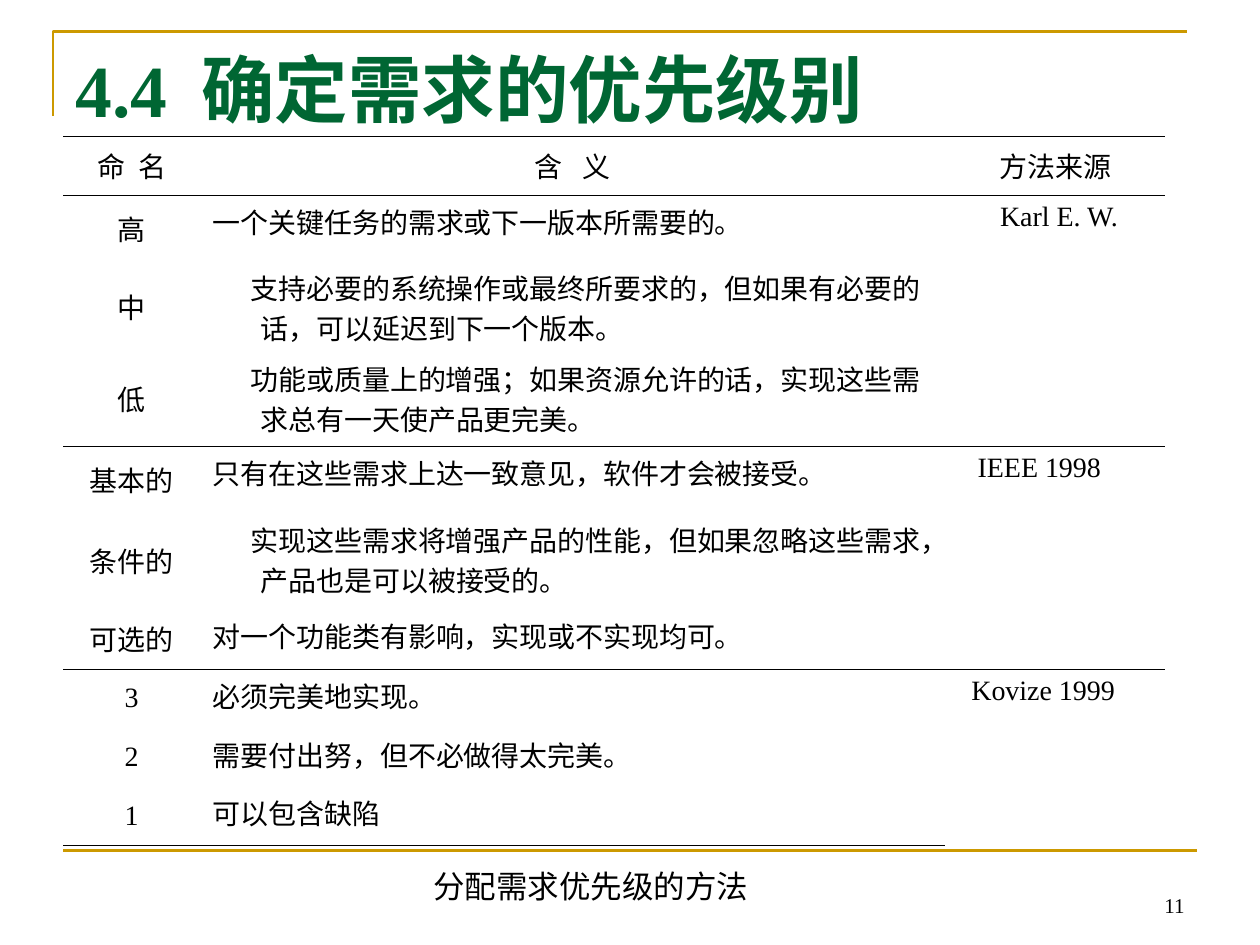
from dataclasses import dataclass

from lxml import etree
from pptx import Presentation
from pptx import util as u
from pptx.dml.color import RGBColor
from pptx.enum import lang, shapes, text
from pptx.oxml.ns import qn

GOLD, GREEN, BLACK = "CC9900", "006633", "000000"
SERIF, SANS = "Times New Roman", "Arial"
LEFT, CENTER, RIGHT = text.PP_ALIGN.LEFT, text.PP_ALIGN.CENTER, text.PP_ALIGN.RIGHT
TOP, MIDDLE, BOTTOM = text.MSO_ANCHOR.TOP, text.MSO_ANCHOR.MIDDLE, text.MSO_ANCHOR.BOTTOM
HANGING = 0.38
COLUMN_WIDTHS = (1.09, 5.91, 1.75)
HEADER_HEIGHT = 0.47
RULE_WIDTH = 0.45


@dataclass
class Level:
    name: str
    meaning: str
    height: float
    first_line: float = 0


@dataclass
class Method:
    source: str
    align: text.PP_ALIGN
    indent: float
    levels: list[Level]


@dataclass
class Heading:
    label: str
    spacing: int = 0


HEADINGS = [Heading("命 名", 2), Heading("含 义", 4), Heading("方法来源")]
METHODS = [
    Method("Karl E. W.", CENTER, 0.06, [
        Level("高", "一个关键任务的需求或下一版本所需要的。", 0.52),
        Level("中", "支持必要的系统操作或最终所要求的，但如果有必要的话，可以延迟到下一个版本。", 0.72, 0.3),
        Level("低", "功能或质量上的增强；如果资源允许的话，实现这些需求总有一天使产品更完美。", 0.75, 0.3),
    ]),
    Method("IEEE 1998", LEFT, 0.16, [
        Level("基本的", "只有在这些需求上达一致意见，软件才会被接受。", 0.53),
        Level("条件的", "实现这些需求将增强产品的性能，但如果忽略这些需求，产品也是可以被接受的。", 0.76, 0.3),
        Level("可选的", "对一个功能类有影响，实现或不实现均可。", 0.48),
    ]),
    Method("Kovize 1999", LEFT, 0.11, [
        Level("3", "必须完美地实现。", 0.47),
        Level("2", "需要付出努，但不必做得太完美。", 0.46),
        Level("1", "可以包含缺陷", 0.47),
    ]),
]


def rgb(color: str) -> RGBColor:
    return RGBColor.from_string(color)


def write(frame, content: str, *, size: float = 16, font: str = SERIF, color: str = BLACK,
          bold: bool = False, align=LEFT, margin: float = 0, indent: float = 0,
          spacing: int = 0) -> None:
    """Fill a text frame with one formatted paragraph; spacing is in points."""
    paragraph = frame.paragraphs[0]
    paragraph.alignment = align
    properties = paragraph._p.get_or_add_pPr()
    properties.set("marL", str(u.Inches(margin)))
    properties.set("indent", str(u.Inches(indent)))
    run = paragraph.add_run()
    run.text = content
    run.font.size = u.Pt(size)
    run.font.name = font
    run.font.bold = bold
    run.font.color.rgb = rgb(color)
    run.font.language_id = lang.MSO_LANGUAGE_ID.SIMPLIFIED_CHINESE
    if spacing:
        run._r.get_or_add_rPr().set("spc", str(spacing * 100))


def add_text(slide, content: str, left: float, top: float, width: float, height: float,
             *, anchor=TOP, wrap: bool = True, **text_format) -> None:
    frame = slide.shapes.add_textbox(
        u.Inches(left), u.Inches(top), u.Inches(width), u.Inches(height)).text_frame
    frame.word_wrap = wrap
    frame.vertical_anchor = anchor
    write(frame, content, **text_format)


def style_line(line) -> None:
    line.color.rgb = rgb(GOLD)
    line.width = u.Pt(1.5)


def add_frame_lines(slide) -> None:
    builder = slide.shapes.build_freeform(u.Inches(0.42), u.Inches(0.92))
    builder.add_line_segments(
        [(u.Inches(0.42), u.Inches(0.25)), (u.Inches(9.42), u.Inches(0.25))], close=False)
    corner = builder.convert_to_shape()
    corner.shadow.inherit = False
    corner.fill.background()
    style_line(corner.line)

    footer_rule = slide.shapes.add_connector(
        shapes.MSO_CONNECTOR.STRAIGHT,
        u.Inches(0.5), u.Inches(6.75), u.Inches(9.5), u.Inches(6.75))
    style_line(footer_rule.line)
    etree.SubElement(footer_rule._element.spPr, qn("a:effectLst"))


def set_borders(cell, above: bool, below: bool) -> None:
    """Rule the cell above and below as asked, and leave its sides open."""
    properties = cell._tc.get_or_add_tcPr()
    for tag, visible in (("lnL", False), ("lnR", False), ("lnT", above), ("lnB", below)):
        border = etree.SubElement(properties, qn(f"a:{tag}"), w=str(u.Pt(RULE_WIDTH)))
        if visible:
            fill = etree.SubElement(border, qn("a:solidFill"))
            etree.SubElement(fill, qn("a:srgbClr"), val=BLACK)
        else:
            etree.SubElement(border, qn("a:noFill"))


def add_priority_table(slide) -> None:
    heights = [HEADER_HEIGHT] + [level.height for method in METHODS for level in method.levels]
    table = slide.shapes.add_table(
        len(heights), len(COLUMN_WIDTHS), u.Inches(0.5), u.Inches(1.08),
        u.Inches(sum(COLUMN_WIDTHS)), u.Inches(sum(heights))).table
    table.first_row = table.horz_banding = False
    for column, width in zip(table.columns, COLUMN_WIDTHS):
        column.width = u.Inches(width)
    for row, height in zip(table.rows, heights):
        row.height = u.Inches(height)

    for column, heading in enumerate(HEADINGS):
        cell = table.cell(0, column)
        cell.vertical_anchor = MIDDLE
        write(cell.text_frame, heading.label, align=CENTER, spacing=heading.spacing)

    group_starts = {0}
    row = 1
    for method in METHODS:
        group_starts.add(row)
        source = table.cell(row, 2)
        source.merge(table.cell(row + len(method.levels) - 1, 2))
        write(source.text_frame, method.source, align=method.align, margin=method.indent)
        for level in method.levels:
            name, meaning = table.cell(row, 0), table.cell(row, 1)
            name.vertical_anchor = MIDDLE
            write(name.text_frame, level.name, align=CENTER)
            write(meaning.text_frame, level.meaning, margin=HANGING,
                  indent=level.first_line - HANGING)
            row += 1
    group_starts.add(row)

    for index in range(len(heights)):
        for cell in table.rows[index].cells:
            set_borders(cell, index in group_starts, index + 1 in group_starts)
            cell.fill.background()


def main() -> None:
    deck = Presentation()
    deck.slide_width, deck.slide_height = u.Inches(10), u.Inches(7.5)
    slide = deck.slides.add_slide(deck.slide_layouts[6])
    add_frame_lines(slide)
    add_text(slide, "11", 7.17, 6.83, 2.33, 0.5, anchor=BOTTOM, size=12, align=RIGHT)
    add_text(slide, "4.4\t确定需求的优先级别", 0.5, 0.3, 9, 1.25,
             size=42, color=GREEN, bold=True)
    add_priority_table(slide)
    add_text(slide, "分配需求优先级的方法", 3.34, 6.83, 2.75, 0.4,
             anchor=MIDDLE, wrap=False, size=18, font=SANS)
    deck.save("out.pptx")


if __name__ == "__main__":
    main()
